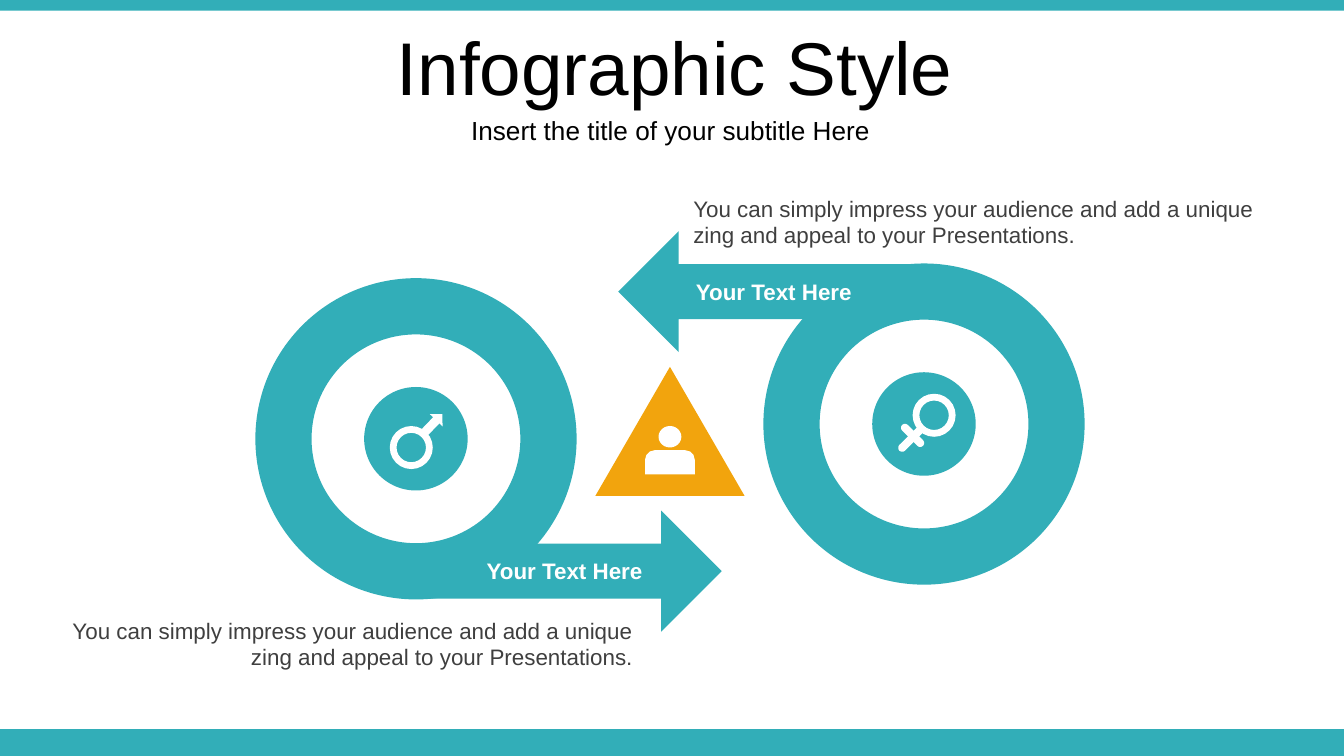
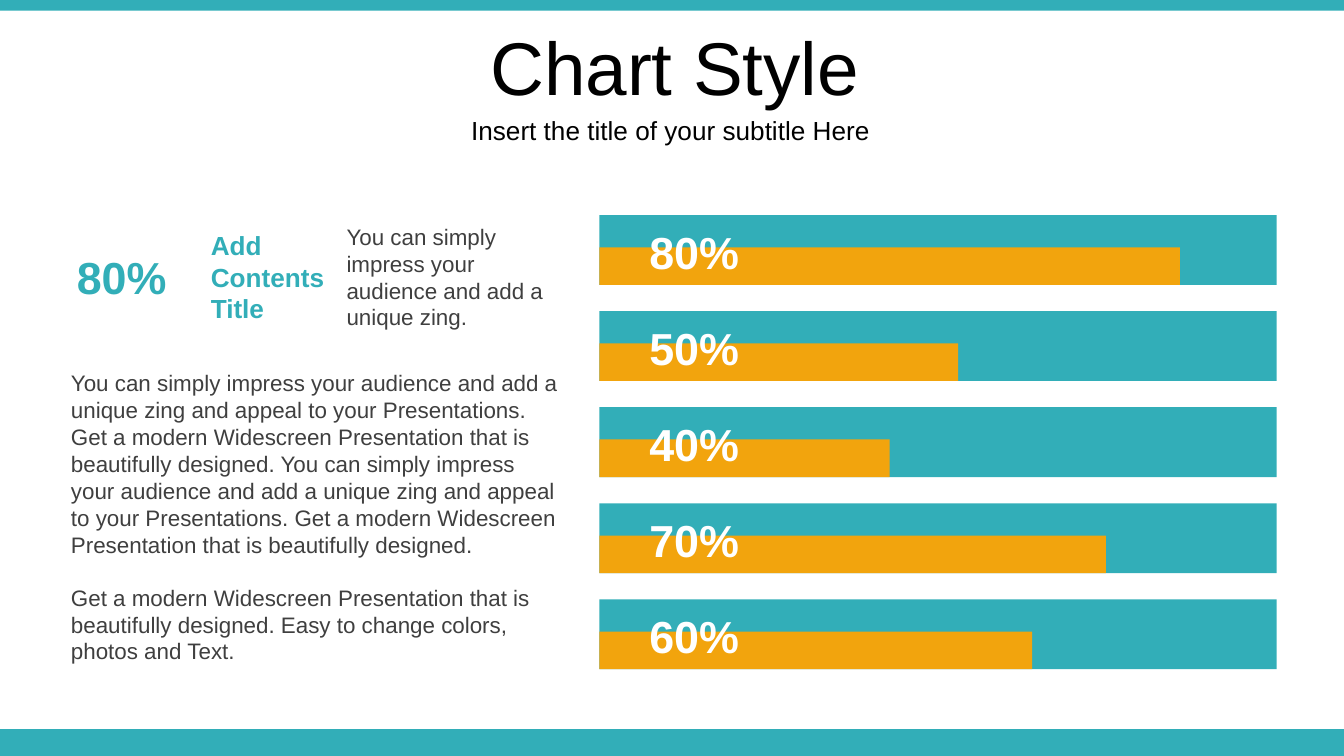
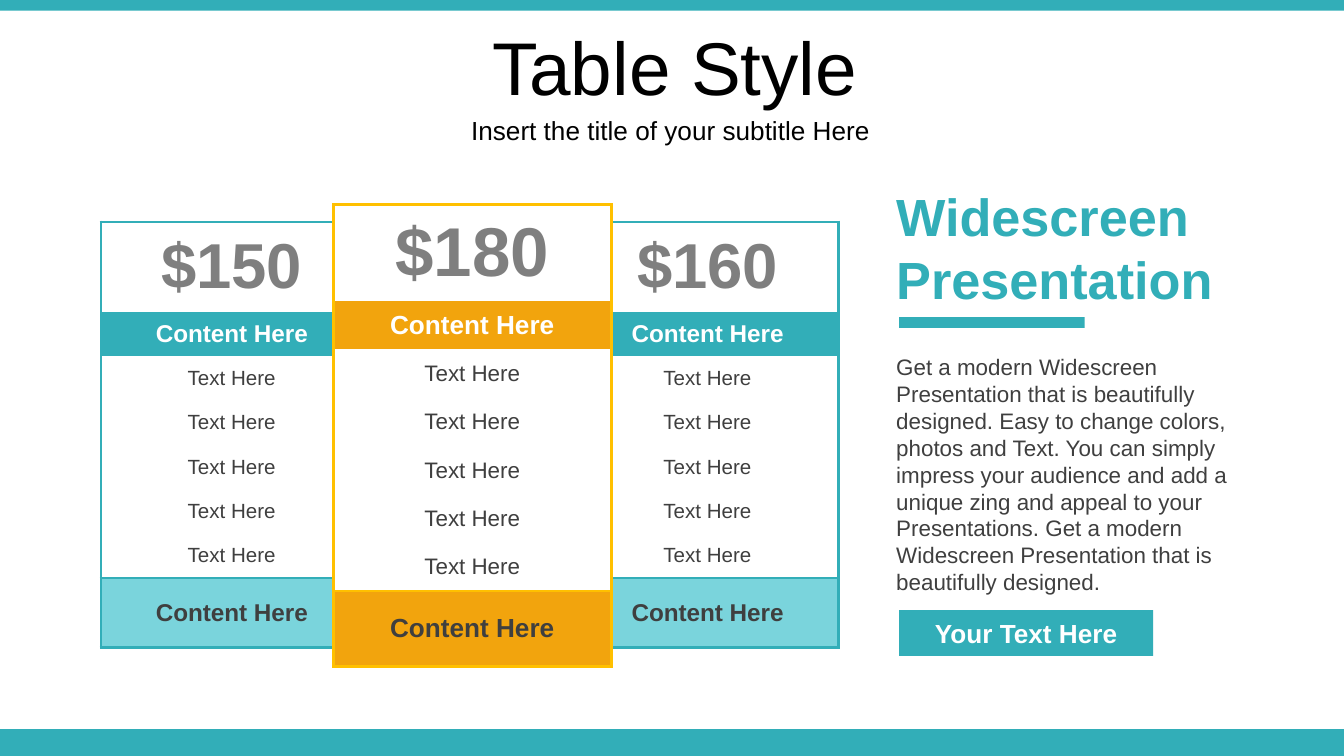
from lxml import etree
from pptx import Presentation
from pptx.dml.color import RGBColor
from pptx.enum.shapes import MSO_SHAPE
from pptx.enum.text import MSO_ANCHOR, PP_ALIGN
from pptx.oxml.ns import qn
from pptx.util import Inches, Pt

TEAL, ORANGE, GOLD, PALE_TEAL = "32AEB8", "F2A40D", "FFC000", "7AD4DC"
WHITE, BLACK, DARK, GRAY = "FFFFFF", "000000", "3F3F3F", "7F7F7F"
FONT = "Arial"
SLIDE_W = 10
SLIDE_H = SLIDE_W * 9 / 16
CENTER, RIGHT = PP_ALIGN.CENTER, PP_ALIGN.RIGHT

IMPRESS = "You can simply impress your audience and add a unique zing"
APPEAL = IMPRESS + " and appeal to your Presentations."
MODERN = "Get a modern Widescreen Presentation that is beautifully designed."
EASY = "Easy to change colors, photos and Text."


def rgb(color):
    return RGBColor.from_string(color)


def write(frame, text, size=12, color=DARK, bold=False, align=None, gap=0):
    """Fill a text frame, one paragraph per line, with gap points between them."""
    for i, line in enumerate(text.split("\n")):
        paragraph = frame.add_paragraph() if i else frame.paragraphs[0]
        paragraph.alignment = align
        if i:
            paragraph.space_before = Pt(gap)
        run = paragraph.add_run()
        run.text = line
        run.font.name, run.font.size, run.font.bold = FONT, Pt(size), bold
        run.font.color.rgb = rgb(color)


def add_text(slide, box, text, anchor=MSO_ANCHOR.TOP, **fmt):
    frame = slide.shapes.add_textbox(*map(Inches, box)).text_frame
    frame.word_wrap = True
    frame.vertical_anchor = anchor
    write(frame, text, **fmt)


def add_figure(slide, preset, box, color, adjust=(), rotation=0):
    figure = slide.shapes.add_shape(preset, *map(Inches, box))
    figure.shadow.inherit = False
    figure.fill.solid()
    figure.fill.fore_color.rgb = rgb(color)
    figure.line.fill.background()
    figure.rotation = rotation
    for i, value in enumerate(adjust):
        figure.adjustments[i] = value
    return figure


def add_base(deck, title):
    """Blank slide with both bands, the title and the subtitle."""
    slide = deck.slides.add_slide(deck.slide_layouts[6])
    for top, height in ((SLIDE_H - 0.2, 0.2), (0, 0.08)):
        add_figure(slide, MSO_SHAPE.RECTANGLE, (0, top, SLIDE_W, height), TEAL)
    add_text(slide, (0.02, 0.16, 10, 0.66), title, MSO_ANCHOR.MIDDLE,
             size=40, color=BLACK, align=CENTER)
    add_text(slide, (0.01, 0.81, 9.96, 0.31), "Insert the title of your subtitle Here",
             MSO_ANCHOR.MIDDLE, size=14, color=BLACK, align=CENTER)
    return slide


# Infographic slide
def add_ring(slide, left, top, turned=False):
    """Ring with a hub and an arrow; turned swings the arrow half a turn."""
    size, hub, arrow_w, arrow_h = 2.39, 0.77, 2.17, 0.9
    arrow_x, arrow_y = 1.3, 1.73
    if turned:
        arrow_x, arrow_y = size - arrow_x - arrow_w, size - arrow_y - arrow_h
    rotation = 180 if turned else 0
    inset = (size - hub) / 2
    add_figure(slide, MSO_SHAPE.DONUT, (left, top, size, size), TEAL, [0.175], rotation)
    add_figure(slide, MSO_SHAPE.RIGHT_ARROW, (left + arrow_x, top + arrow_y, arrow_w, arrow_h),
               TEAL, [0.455, 0.5], rotation)
    add_figure(slide, MSO_SHAPE.OVAL, (left + inset, top + inset, hub, hub), TEAL)


def add_icon(slide, left, top, parts):
    """White icon from (preset, box inside the icon, adjustments, rotation) parts."""
    for preset, (x, y, width, height), adjust, rotation in parts:
        add_figure(slide, preset, (left + x, top + y, width, height), WHITE, adjust, rotation)


MALE = [(MSO_SHAPE.DONUT, (0, 0.12, 0.32, 0.32), [0.158], 0),
        (MSO_SHAPE.UP_ARROW, (0.25, 0, 0.13, 0.22), [0.5, 0.5], 43.9)]
FEMALE = [(MSO_SHAPE.DONUT, (0.1, 0, 0.32, 0.32), [0.158], 0),
          (MSO_SHAPE.ROUNDED_RECTANGLE, (0.06, 0.21, 0.06, 0.25), [0.5], 45),
          (MSO_SHAPE.ROUNDED_RECTANGLE, (0.07, 0.2, 0.06, 0.22), [0.5], 135)]
PERSON = [(MSO_SHAPE.OVAL, (0.1, 0, 0.17, 0.16), [], 0),
          (MSO_SHAPE.ROUND_2_SAME_RECTANGLE, (0, 0.18, 0.37, 0.18), [0.39, 0], 0)]


def build_infographic(deck):
    slide = add_base(deck, "Infographic Style")
    add_ring(slide, 1.9, 2.07)
    add_ring(slide, 5.68, 1.96, turned=True)
    add_figure(slide, MSO_SHAPE.ISOSCELES_TRIANGLE, (4.43, 2.73, 1.11, 0.96), ORANGE)
    add_icon(slide, 4.8, 3.17, PERSON)
    add_icon(slide, 2.9, 3.05, MALE)
    add_icon(slide, 6.69, 2.93, FEMALE)
    # Descriptions and arrow labels
    for x, y, label_x, label_y, align in ((5.06, 1.4, 5.08, 2.02, None),
                                          (0.4, 4.54, 2.32, 4.1, RIGHT)):
        add_text(slide, (x, y, 4.41, 0.5), APPEAL, align=align)
        add_text(slide, (label_x, label_y, 2.56, 0.3), "Your Text Here",
                 color=WHITE, bold=True, align=align)


# Chart slide
def add_bar(slide, left, top, label, value_w):
    """Full-width track, lower value bar and percentage."""
    track_h, value_h = 0.52, 0.28
    add_figure(slide, MSO_SHAPE.RECTANGLE, (left, top, 5.04, track_h), TEAL)
    add_figure(slide, MSO_SHAPE.RECTANGLE,
               (left, top + track_h - value_h, value_w, value_h), ORANGE)
    add_text(slide, (left + 0.23, top + 0.02, 0.95, 0.5), label, MSO_ANCHOR.MIDDLE,
             size=24, color=WHITE, bold=True, align=CENTER)


def build_chart(deck):
    slide = add_base(deck, "Chart Style")
    add_text(slide, (0.43, 1.81, 0.95, 0.5), "80%", MSO_ANCHOR.MIDDLE,
             size=24, color=TEAL, bold=True, align=CENTER)
    add_text(slide, (1.47, 1.66, 1.1, 0.81), "Add Contents Title",
             size=14, color=TEAL, bold=True)
    add_text(slide, (2.48, 1.61, 1.81, 0.91), IMPRESS + ".")
    add_text(slide, (0.43, 2.7, 3.86, 2.32),
             f"{APPEAL} {MODERN} {APPEAL} {MODERN}\n{MODERN} {EASY}", gap=14)
    bars = (("80%", 4.32), ("50%", 2.67), ("40%", 2.16), ("70%", 3.77), ("60%", 3.22))
    first_top, last_top = 1.6, 4.46
    step = (last_top - first_top) / (len(bars) - 1)
    for i, (label, value_w) in enumerate(bars):
        add_bar(slide, 4.46, first_top + i * step, label, value_w)


# Table slide
def set_borders(cell, sides, color):
    """Draw the sides named in a string of L, R, T and B; clear the others."""
    props = cell._tc.get_or_add_tcPr()
    for i, side in enumerate("LRTB"):
        line = etree.Element(qn(f"a:ln{side}"), w=str(Pt(1.5)))
        if side in sides:
            fill = etree.SubElement(line, qn("a:solidFill"))
            etree.SubElement(fill, qn("a:srgbClr"), val=color)
        else:
            etree.SubElement(line, qn("a:noFill"))
        props.insert(i, line)


def add_price_table(slide, left, top, price, widths, heights, sizes, band, footer, border):
    price_size, head_size, text_size = sizes
    rows = [(price, price_size, GRAY, True, WHITE),
            ("Content Here", head_size, WHITE, True, band),
            *[("Text Here", text_size, DARK, False, WHITE)] * 5,
            ("Content Here", head_size, DARK, True, footer)]
    last = len(rows) - 1
    table = slide.shapes.add_table(len(rows), 3, Inches(left), Inches(top),
                                   Inches(sum(widths)), Inches(sum(heights))).table
    table.first_row = table.horz_banding = False
    for column, width in zip(table.columns, widths):
        column.width = Inches(width)
    for r, (text, size, color, bold, fill) in enumerate(rows):
        table.rows[r].height = Inches(heights[r])
        for c in range(3):
            cell = table.cell(r, c)
            cell.fill.solid()
            cell.fill.fore_color.rgb = rgb(fill)
            cell.vertical_anchor = MSO_ANCHOR.MIDDLE
            sides = ("L", "", "R")[c] + ("T" if r == 0 else "") + ("B" if r == last - 1 else "")
            set_borders(cell, "LRTB" if r == last else sides, border)
            if c == (0 if r == last else 1):
                write(cell.text_frame, text, size=size, color=color, bold=bold, align=CENTER)
            else:
                cell.margin_top = cell.margin_bottom = 0
    table.cell(last, 0).merge(table.cell(last, 2))


def add_summary(slide, left, top):
    """Heading with a rule, a paragraph and a button."""
    add_text(slide, (left, top, 2.99, 1.04), "Widescreen Presentation",
             size=28, color=TEAL, bold=True)
    add_figure(slide, MSO_SHAPE.RECTANGLE, (left + 0.12, top + 1.04, 1.38, 0.08), TEAL)
    add_text(slide, (left, top + 1.26, 2.91, 1.92), f"{MODERN} {EASY} {APPEAL} {MODERN}")
    button = add_figure(slide, MSO_SHAPE.RECTANGLE,
                        (left + 0.12, top + 3.22, 1.89, 0.34), TEAL)
    write(button.text_frame, "Your Text Here", size=14, color=WHITE, bold=True, align=CENTER)


def build_table(deck):
    slide = add_base(deck, "Table Style")
    for left, price in ((0.75, "$150"), (4.29, "$160")):
        add_price_table(slide, left, 1.65, price, (0.22, 1.47, 0.22),
                        [0.67] + [0.33] * 6 + [0.52], (34, 13, 11), TEAL, PALE_TEAL, TEAL)
    add_price_table(slide, 2.48, 1.52, "$180", (0.24, 1.59, 0.24),
                    [0.72] + [0.36] * 6 + [0.56], (37, 14, 12), ORANGE, ORANGE, GOLD)
    add_summary(slide, 6.57, 1.32)


def main():
    deck = Presentation()
    deck.slide_width, deck.slide_height = Inches(SLIDE_W), Inches(SLIDE_H)
    build_infographic(deck)
    build_chart(deck)
    build_table(deck)
    deck.save("out.pptx")


if __name__ == "__main__":
    main()
